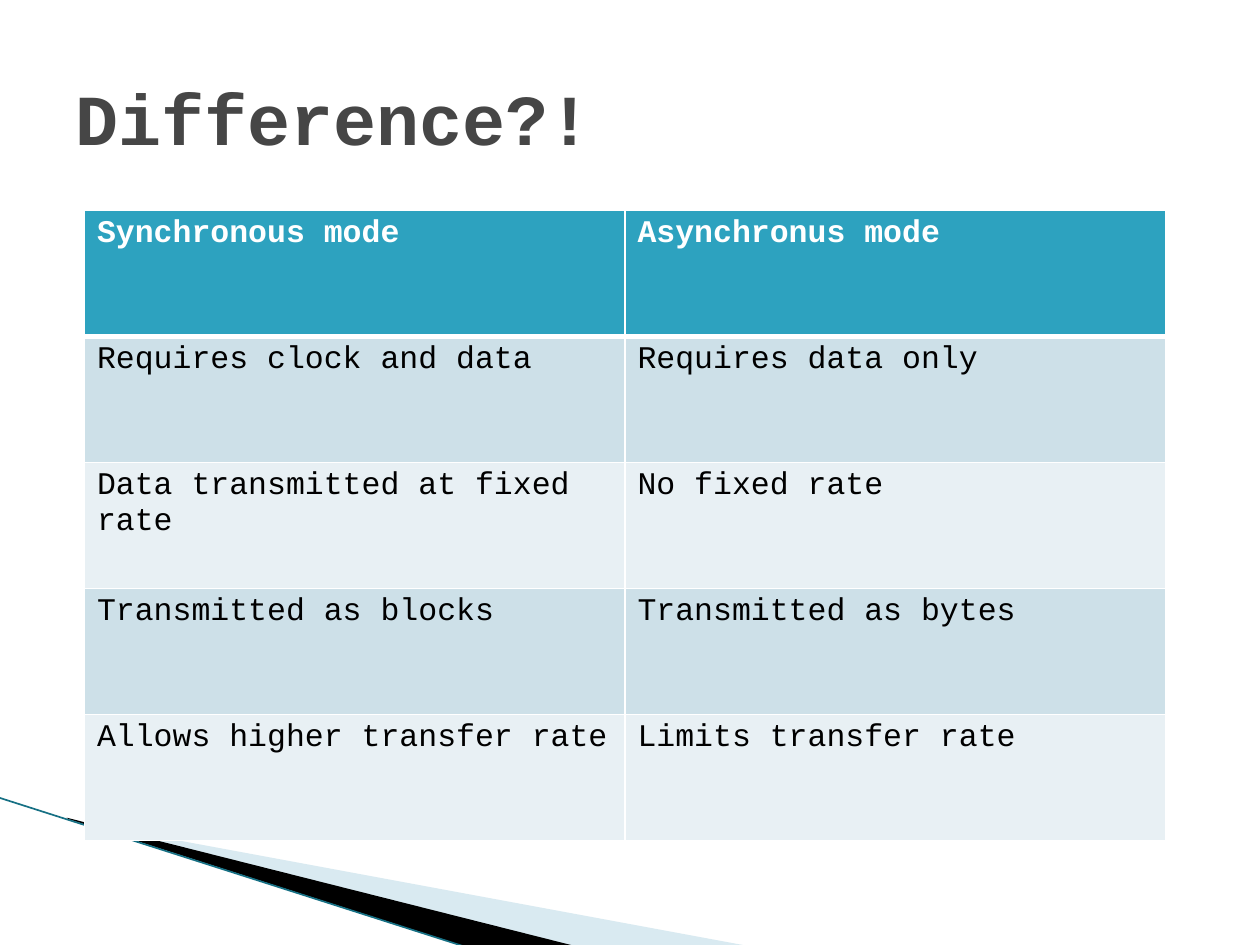
from lxml import etree
from pptx import Presentation
from pptx import util as u
from pptx.dml.color import RGBColor
from pptx.enum import shapes, text
from pptx.oxml import ns

WHITE = RGBColor(0xFF, 0xFF, 0xFF)
BLACK = RGBColor(0x00, 0x00, 0x00)
GREY = RGBColor(0x46, 0x46, 0x46)
TEAL = RGBColor(0x2D, 0xA2, 0xBF)
DARK_TEAL = RGBColor(0x16, 0x70, 0x84)
SKY = RGBColor(0xA0, 0xCB, 0xDC)
BANDS = (RGBColor(0xCD, 0xE0, 0xE8), RGBColor(0xE8, 0xF0, 0xF4))

MODES = (
    ("Synchronous mode", "Asynchronus mode"),
    ("Requires clock and data", "Requires data only"),
    ("Data transmitted at fixed rate", "No fixed rate"),
    ("Transmitted as blocks", "Transmitted as bytes"),
    ("Allows higher transfer rate", "Limits transfer rate"),
)


class Deck:
    """Style and current slide; lengths are columns and rows of a 20 by 15 grid."""

    font = "Courier New"
    unit = u.Inches(0.5)

    def __init__(self):
        self.prs = Presentation()
        self.prs.slide_width, self.prs.slide_height = self.grid(20, 15)
        self.s = self.prs.slides.add_slide(self.prs.slide_layouts[6])

    def grid(self, *lengths):
        return [u.Emu(round(n * self.unit)) for n in lengths]

    def label(self, tf, words, size, color, bold):
        tf.text = words
        tf.word_wrap = True
        f = tf.paragraphs[0].runs[0].font
        f.name, f.size, f.bold = self.font, u.Pt(size), bold
        f.color.rgb = color

    def title(self, words, *box):
        tf = self.s.shapes.add_textbox(*self.grid(*box)).text_frame
        tf.vertical_anchor = text.MSO_ANCHOR.MIDDLE
        self.label(tf, words, 41, GREY, True)

    def wedge(self, points, color, alpha=100):
        start, *rest = [self.grid(*pt) for pt in points]
        fb = self.s.shapes.build_freeform(*start)
        fb.add_line_segments(rest, close=True)
        sp = fb.convert_to_shape()
        sp.shadow.inherit = False
        sp.line.fill.background()
        sp.fill.solid()
        sp.fill.fore_color.rgb = color
        if alpha < 100:
            clr = sp._element.spPr.find(".//" + ns.qn("a:srgbClr"))
            etree.SubElement(clr, ns.qn("a:alpha")).set("val", str(alpha * 1000))

    def line(self, ends, color, width):
        c = self.s.shapes.add_connector(shapes.MSO_CONNECTOR.STRAIGHT, *self.grid(*ends))
        c.line.color.rgb = color
        c.line.width = u.Pt(width)
        etree.SubElement(c._element.spPr, ns.qn("a:effectLst"))

    def borders(self, cell, bottom):
        tcPr = cell._tc.get_or_add_tcPr()
        for i, side in enumerate("LRTB"):
            ln = etree.Element(ns.qn("a:ln" + side))
            ln.set("w", str(int(u.Pt(bottom if side == "B" else 1))))
            fill = etree.SubElement(ln, ns.qn("a:solidFill"))
            etree.SubElement(fill, ns.qn("a:srgbClr")).set("val", str(WHITE))
            tcPr.insert(i, ln)

    def table(self, rows, *box):
        """Header row first, then rows in alternating bands."""
        shape = self.s.shapes.add_table(len(rows), len(rows[0]), *self.grid(*box))
        for i, row in enumerate(rows):
            head = i == 0
            for j, words in enumerate(row):
                cell = shape.table.cell(i, j)
                self.label(cell.text_frame, words, 18, WHITE if head else BLACK, head)
                cell.fill.solid()
                cell.fill.fore_color.rgb = TEAL if head else BANDS[(i - 1) % 2]
                self.borders(cell, 3 if head else 1)


def main():
    d = Deck()
    d.wedge([(1.1, 13.02), (11.9, 15.02), (9.12, 15.02), (1.1, 13)], SKY, alpha=40)
    d.wedge([(1.06, 12.98), (9.14, 15.02), (7.44, 15.04), (1.08, 13)], BLACK)
    d.line((-0.02, 12.66, 7.42, 15.04), DARK_TEAL, 0.95)
    d.table(MODES, 1.34, 3.34, 17.16, 10)
    d.title("Difference?!", 1, 0.6, 18, 2.5)
    d.prs.save("out.pptx")


if __name__ == "__main__":
    main()
